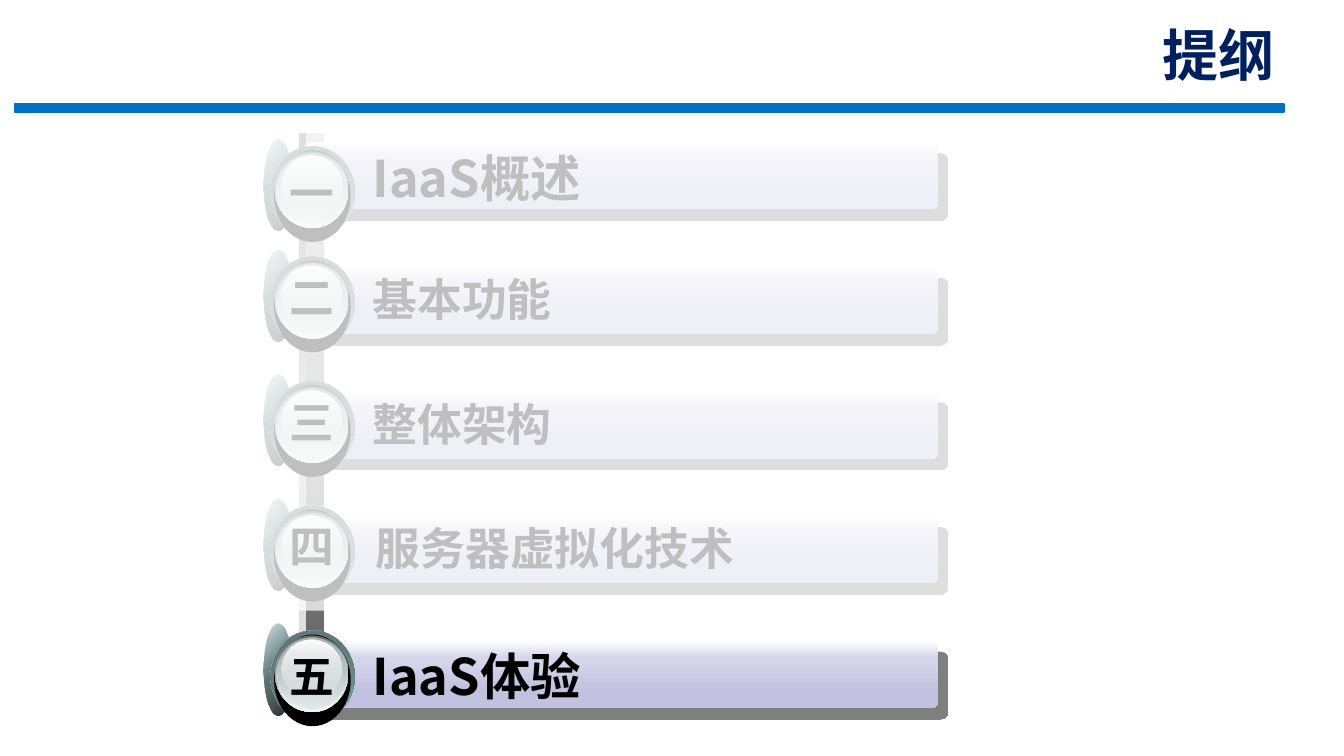
"""Build the outline slide with five numbered entries, the last one highlighted."""
from dataclasses import dataclass

from lxml import etree
from pptx import Presentation
from pptx.dml.color import RGBColor
from pptx.enum.shapes import MSO_SHAPE as Preset
from pptx.enum.text import MSO_ANCHOR as Anchor, MSO_AUTO_SIZE as AutoSize, PP_ALIGN as Align
from pptx.oxml.ns import qn
from pptx.shapes.autoshape import Shape
from pptx.shapes.shapetree import _BaseGroupShapes as ShapeTree
from pptx.util import Cm, Pt

BODY_FONT = "Noto Sans CJK SC"
ROW_TOP, ROW_PITCH = 3.58, 3.14
BAR_RIGHT, BAR_HEIGHT = 23.65, 1.7


@dataclass(frozen=True)
class Stop:
    position: int
    color: str
    alpha: int = 100


@dataclass(frozen=True)
class Area:
    left: float
    top: float
    width: float
    height: float


@dataclass(frozen=True)
class Layer:
    area: Area
    stops: tuple[Stop, ...]
    angle: int = 90


@dataclass(frozen=True)
class Entry:
    numeral: str
    caption: str
    size: int = 32
    badge_shift: float = -0.43
    numeral_shift: float = -0.05
    bar_left: float = 7.67
    caption_left: float = 9.14


CRESCENT = Area(6.65, 0, 0.71, 2.31)
RIM = Area(6.81, 0.18, 2.13, 2.31)
BADGE = (
    Layer(CRESCENT, (Stop(0, "FFFFFF"), Stop(50, "83A6A7"), Stop(100, "FFFFFF")), 45),
    Layer(CRESCENT, (Stop(0, "83A6A7", 32), Stop(100, "000000", 90)), 45),
    Layer(RIM, (Stop(0, "475A5A"), Stop(50, "83A6A7"), Stop(100, "475A5A")), 315),
    Layer(RIM, (Stop(0, "53696A"), Stop(100, "83A6A7", 0)), 45),
    Layer(Area(6.91, 0.28, 1.93, 2.31), (Stop(0, "000000"),)),
    Layer(Area(6.93, 0.3, 1.85, 1.93), (Stop(0, "636869"), Stop(100, "D6E1E2"))),
    Layer(Area(6.96, 0.33, 1.8, 1.9), (Stop(0, "D6E1E2", 0), Stop(100, "F1F5F5"))),
    Layer(Area(6.99, 0.36, 1.73, 1.78), (Stop(0, "AAB2B3"), Stop(100, "D6E1E2", 48))),
    Layer(Area(7.09, 0.41, 1.52, 1.45), (Stop(0, "FFFFFF"), Stop(100, "D6E1E2", 38))),
)
BAR_STOPS = (Stop(0, "FFFFFF"), Stop(25, "D6D6EB"), Stop(75, "C2C2E0"))
RAILS = (
    Layer(Area(0.58, 10.31, 14.1, 0.18), (Stop(0, "808080"), Stop(100, "ECECEC"))),
    Layer(Area(0.89, 10.19, 14.1, 0.43), (Stop(0, "CFCFCF"), Stop(100, "5F5F5F"))),
)
ENTRIES = (
    Entry("一", "IaaS概述", size=36, badge_shift=-0.07, numeral_shift=0.46),
    Entry("二", "基本功能"),
    Entry("三", "整体架构"),
    Entry("四", "服务器虚拟化技术", bar_left=7.44, caption_left=9.22),
    Entry("五", "IaaS体验", size=36, numeral_shift=0.08),
)


def rgb(code: str) -> RGBColor:
    return RGBColor.from_string(code)


def add_color(parent: etree._Element, code: str, alpha: int) -> None:
    color = etree.SubElement(parent, qn("a:srgbClr"), val=code)
    if alpha < 100:
        etree.SubElement(color, qn("a:alpha"), val=str(alpha * 1000))


def paint(shape: Shape, stops: tuple[Stop, ...], angle: int) -> None:
    shape.fill.background()
    properties = shape._element.spPr
    empty = properties.find(qn("a:noFill"))
    if len(stops) == 1:
        fill = etree.Element(qn("a:solidFill"))
        add_color(fill, stops[0].color, stops[0].alpha)
    else:
        fill = etree.Element(qn("a:gradFill"), rotWithShape="0")
        listing = etree.SubElement(fill, qn("a:gsLst"))
        for stop in stops:
            mark = etree.SubElement(listing, qn("a:gs"), pos=str(stop.position * 1000))
            add_color(mark, stop.color, stop.alpha)
        etree.SubElement(fill, qn("a:lin"), ang=str(angle * 60000), scaled="1")
    properties.replace(empty, fill)


def add_figure(shapes: ShapeTree, preset: Preset, area: Area,
               stops: tuple[Stop, ...], angle: int = 90) -> Shape:
    shape = shapes.add_shape(preset, Cm(area.left), Cm(area.top), Cm(area.width), Cm(area.height))
    shape.shadow.inherit = False
    paint(shape, stops, angle)
    shape.line.fill.background()
    return shape


def add_label(shapes: ShapeTree, text: str, area: Area, size: int, color: str = "000000",
              font: str = BODY_FONT, wrap: bool = True) -> Shape:
    box = shapes.add_textbox(Cm(area.left), Cm(area.top), Cm(area.width), Cm(area.height))
    box.text_frame.word_wrap = wrap
    box.text_frame.auto_size = AutoSize.SHAPE_TO_FIT_TEXT
    para = box.text_frame.paragraphs[0]
    para.text = text
    para.font.size = Pt(size)
    para.font.bold = True
    para.font.color.rgb = rgb(color)
    para.font.name = font
    defaults = para._p.find(".//" + qn("a:defRPr"))
    etree.SubElement(defaults, qn("a:ea"), typeface=font)
    return box


def add_bar(shapes: ShapeTree, left: float, top: float) -> None:
    area = Area(left, top, BAR_RIGHT - left, BAR_HEIGHT)
    bar = add_figure(shapes, Preset.ROUNDED_RECTANGLE, area, BAR_STOPS)
    bar.adjustments[0] = 0.11
    effects = bar._element.spPr.find(qn("a:effectLst"))
    shadow = etree.SubElement(effects, qn("a:outerShdw"), dist=str(Pt(10.6)),
                              dir=str(49 * 60000), algn="ctr", rotWithShape="0")
    add_color(shadow, "000000", 50)


def add_entry(page_shapes: ShapeTree, entry: Entry, top: float) -> None:
    shapes = page_shapes.add_group_shape().shapes
    add_bar(shapes, entry.bar_left, top)
    add_label(shapes, entry.caption, Area(entry.caption_left, top, 13.13, 1.63), entry.size)
    for layer in BADGE:
        spot = layer.area
        area = Area(spot.left, top + entry.badge_shift + spot.top, spot.width, spot.height)
        add_figure(shapes, Preset.OVAL, area, layer.stops, layer.angle)
    numeral_area = Area(7.04, top + entry.numeral_shift, 1.6, 1.63)
    add_label(shapes, entry.numeral, numeral_area, 32, wrap=False)


def main() -> None:
    deck = Presentation()
    deck.slide_width, deck.slide_height = Cm(33.87), Cm(19.05)
    page = deck.slides.add_slide(deck.slide_layouts[6])

    rule = add_figure(page.shapes, Preset.RECTANGLE, Area(0.36, 2.62, 32, 0.2), (Stop(0, "0070C0"),))
    rule.line.color.rgb = rgb("0070C0")
    rule.line.width = Pt(1)

    title = add_label(page.shapes, "提纲", Area(16.28, 0.86, 16.08, 1.47), 40, "002060", "Cabin")
    title.text_frame.auto_size = AutoSize.NONE
    title.text_frame.vertical_anchor = Anchor.BOTTOM
    title.text_frame.paragraphs[0].alignment = Align.RIGHT

    rail_shapes = page.shapes.add_group_shape().shapes
    for rail in RAILS:
        strip = add_figure(rail_shapes, Preset.RECTANGLE, rail.area, rail.stops, rail.angle)
        strip.rotation = 270

    for index, entry in enumerate(ENTRIES):
        add_entry(page.shapes, entry, ROW_TOP + index * ROW_PITCH)

    add_figure(page.shapes, Preset.RECTANGLE, Area(4.04, 3.12, 23.01, 12.27), (Stop(0, "FFFFFF", 75),))
    deck.save("out.pptx")


if __name__ == "__main__":
    main()
